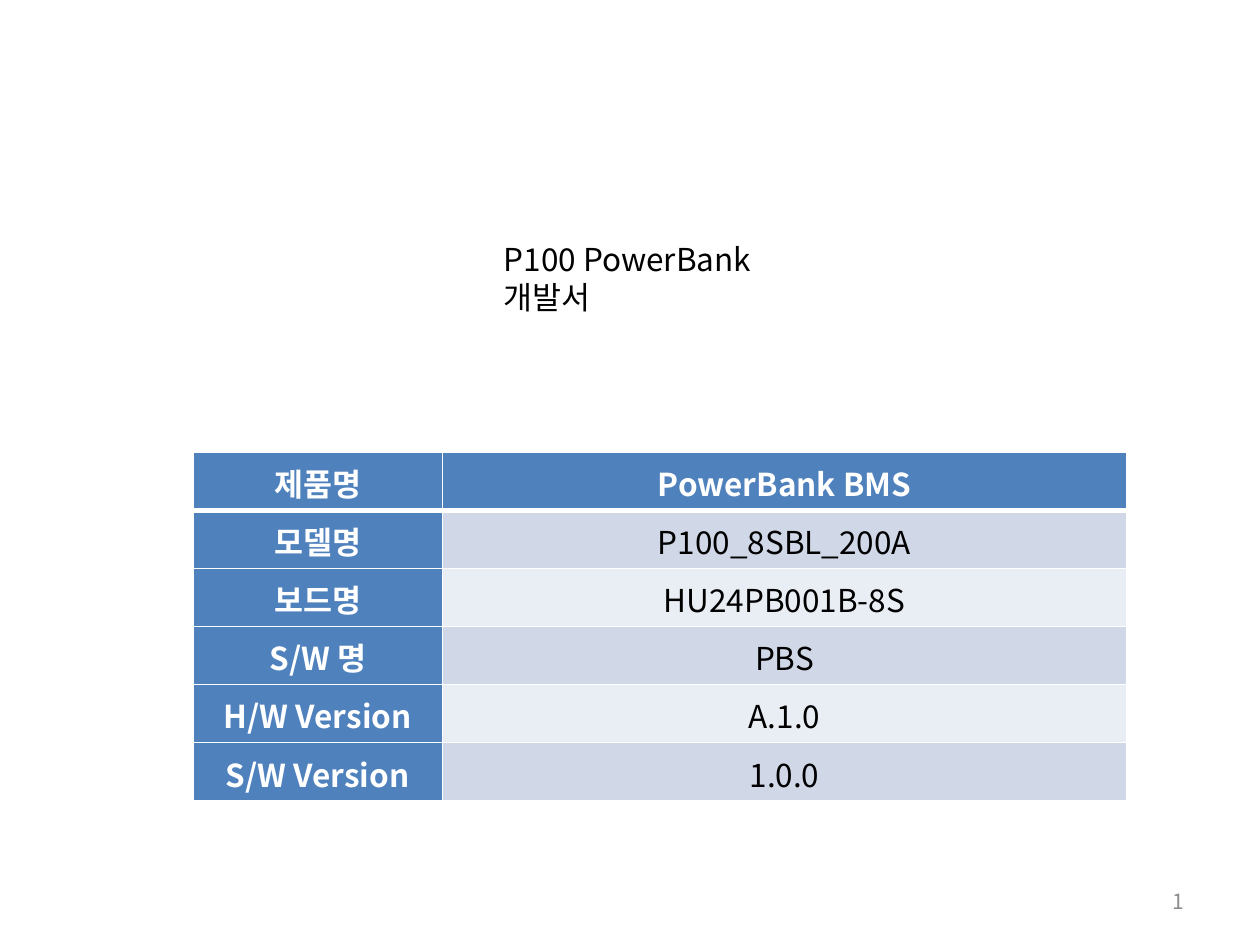
"""Build the cover slide of the P100 PowerBank development document."""
from dataclasses import dataclass

from lxml import etree
from pptx import Presentation
from pptx.dml.color import RGBColor
from pptx.enum.text import MSO_ANCHOR, PP_ALIGN
from pptx.oxml.ns import qn
from pptx.util import Cm, Pt

MIDDLE = MSO_ANCHOR.MIDDLE
LEFT, CENTER, RIGHT = PP_ALIGN.LEFT, PP_ALIGN.CENTER, PP_ALIGN.RIGHT


@dataclass(frozen=True)
class Theme:
    font: str = "Noto Sans CJK KR"
    body_size: int = 18
    number_size: int = 12
    black: str = "000000"
    white: str = "FFFFFF"
    gray: str = "8C8C8C"
    blue: str = "4F81BD"
    bands: tuple = ("D0D8E8", "E9EDF4")


THEME = Theme()


def write_text(frame, text, size, color, align, bold=False):
    para = frame.paragraphs[0]
    para.text = text
    para.alignment = align
    para.font.size = Pt(size)
    para.font.bold = bold
    para.font.color.rgb = RGBColor.from_string(color)
    para.font.name = THEME.font
    properties = para._p.find(".//" + qn("a:defRPr"))
    etree.SubElement(properties, qn("a:ea"), typeface=THEME.font)
    return para


def add_borders(cell, widths):
    properties = cell._tc.get_or_add_tcPr()
    for position, (side, width) in enumerate(widths.items()):
        line = etree.Element(qn(f"a:ln{side}"), w=str(Pt(width)))
        fill = etree.SubElement(line, qn("a:solidFill"))
        etree.SubElement(fill, qn("a:srgbClr"), val=THEME.white)
        properties.insert(position, line)


deck = Presentation()
deck.slide_width, deck.slide_height = Cm(25.4), Cm(19.05)
page = deck.slides.add_slide(deck.slide_layouts[6])

number_box = page.shapes.add_textbox(Cm(18.21), Cm(17.65), Cm(5.92), Cm(1.02))
number_box.text_frame.word_wrap = True
number_box.text_frame.vertical_anchor = MIDDLE
write_text(number_box.text_frame, "1", THEME.number_size, THEME.gray, RIGHT)

title_box = page.shapes.add_textbox(Cm(9.91), Cm(4.72), Cm(7.47), Cm(1.02))
title_box.text_frame.word_wrap = True
title_box.text_frame.margin_right = Cm(1)
write_text(title_box.text_frame, "P100 PowerBank 개발서", THEME.body_size, THEME.black, LEFT)

product_rows = [
    ("제품명", "PowerBank BMS"),
    ("모델명", "P100_8SBL_200A"),
    ("보드명", "HU24PB001B-8S"),
    ("S/W 명", "PBS"),
    ("H/W Version", "A.1.0"),
    ("S/W Version", "1.0.0"),
]
table = page.shapes.add_table(
    len(product_rows), 2, Cm(3.89), Cm(9.12), Cm(18.82), Cm(7.02)
).table
table.columns[0].width, table.columns[1].width = Cm(5.03), Cm(13.79)

for row_index, values in enumerate(product_rows):
    table.rows[row_index].height = Cm(1.17)
    for column_index, value in enumerate(values):
        cell = table.cell(row_index, column_index)
        heading = row_index == 0 or column_index == 0
        background = THEME.blue if heading else THEME.bands[(row_index - 1) % 2]
        cell.fill.solid()
        cell.fill.fore_color.rgb = RGBColor.from_string(background)
        cell.vertical_anchor = MIDDLE
        cell.margin_left = cell.margin_right = Cm(0.18)
        cell.margin_top = cell.margin_bottom = 0
        color = THEME.white if heading else THEME.black
        para = write_text(cell.text_frame, value, THEME.body_size, color, CENTER, heading)
        para.line_spacing = 1.07
        top = 3 if row_index == 1 else 1
        bottom = 3 if row_index == 0 else 1
        add_borders(cell, {"L": 1, "R": 1, "T": top, "B": bottom})

deck.save("out.pptx")
